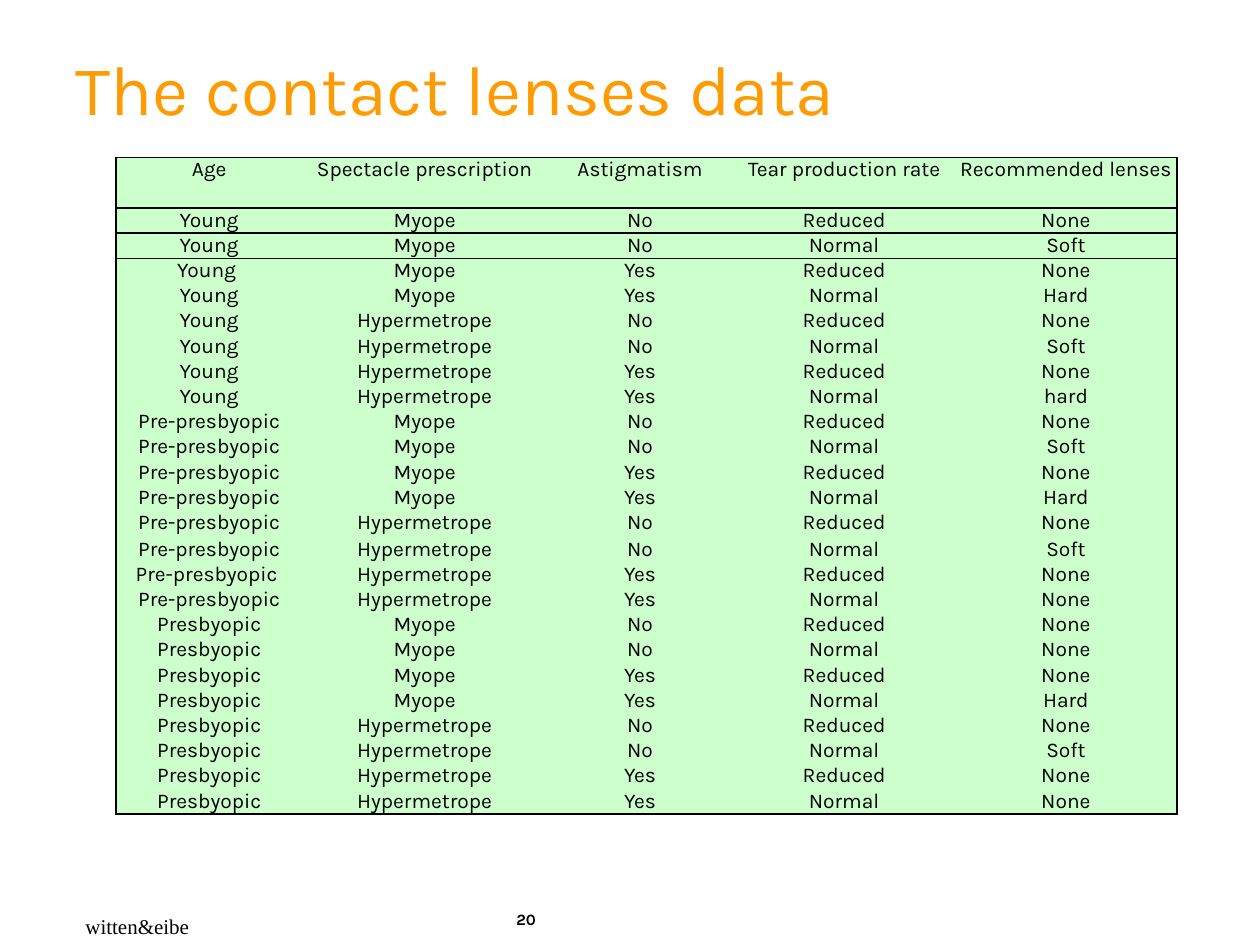
from itertools import product

from lxml.etree import SubElement
from pptx import Presentation
from pptx.dml.color import RGBColor
from pptx.enum.text import MSO_ANCHOR, MSO_AUTO_SIZE, PP_ALIGN
from pptx.oxml import parse_xml
from pptx.oxml.ns import nsdecls, qn
from pptx.util import Inches, Pt


def style(para, face, size, color, bold=False):
    para.font.name = face
    para.font.size = Pt(size)
    para.font.bold = bold
    para.font.color.rgb = RGBColor.from_string(color)


deck = Presentation()
deck.slide_width = Inches(10)
deck.slide_height = Inches(7.5)
page = deck.slides.add_slide(deck.slide_layouts[5])

title = page.shapes.title
title.left, title.top, title.width, title.height = map(Inches, (0.5, 0.25, 9.08, 1))
title.text_frame.text = "The contact lenses data"
title.text_frame.auto_size = MSO_AUTO_SIZE.NONE
title.text_frame.vertical_anchor = MSO_ANCHOR.MIDDLE
heading = title.text_frame.paragraphs[0]
heading.alignment = PP_ALIGN.LEFT
heading.line_spacing = 0.85
style(heading, "Karla", 40, "FE9B03")

ages = ["Young", "Pre-presbyopic", "Presbyopic"]
prescriptions = ["Myope", "Hypermetrope"]
astigmatism = ["No", "Yes"]
tear_rates = ["Reduced", "Normal"]
lenses = (
    "None Soft None Hard None Soft None hard "
    "None Soft None Hard None Soft None None "
    "None None None Hard None Soft None None"
).split()
records = [["Age", "Spectacle prescription", "Astigmatism", "Tear production rate", "Recommended lenses"]]
for patient, lens in zip(product(ages, prescriptions, astigmatism, tear_rates), lenses):
    records.append([*patient, lens])
for number in (3, 15):
    records[number][0] += " "

column_widths = [1.48, 1.94, 1.48, 1.76, 1.76]
row_heights = [0.4] + [0.2] * 24
row_heights[13] = 0.21
last_row, last_column = len(row_heights) - 1, len(column_widths) - 1
frame = page.shapes.add_table(
    len(row_heights), len(column_widths), Inches(0.92), Inches(1.25),
    Inches(sum(column_widths)), Inches(sum(row_heights)),
)
table = frame.table
table.first_row = table.horz_banding = False
table._tbl.tblPr.find(qn("a:tableStyleId")).text = "{2D5ABB26-0587-4C30-8999-92F81FD0307C}"
for column, width in zip(table.columns, column_widths):
    column.width = Inches(width)
for row, height in zip(table.rows, row_heights):
    row.height = Inches(height)

for r, record in enumerate(records):
    for c, value in enumerate(record):
        cell = table.cell(r, c)
        cell.text = value
        cell.margin_left = cell.margin_right = cell.margin_top = cell.margin_bottom = 0
        para = cell.text_frame.paragraphs[0]
        para.alignment = PP_ALIGN.CENTER
        style(para, "Karla", 12, "000000")
        edges = {"L": c == 0, "R": c == last_column, "T": r in (0, 1, 2), "B": r in (0, 1, last_row)}
        properties = cell._tc.get_or_add_tcPr()
        for side, drawn in edges.items():
            if drawn:
                line = parse_xml(f'<a:ln{side} {nsdecls("a")} w="{Pt(1)}"/>')
                SubElement(SubElement(line, qn("a:solidFill")), qn("a:srgbClr"), val="000000")
                properties.append(line)
        cell.fill.solid()
        cell.fill.fore_color.rgb = RGBColor.from_string("CCFFCC")

footers = [
    ("20", (4, 7.17, 1.02, 0.33), "Karla", 9, True),
    ("witten&eibe", (0.58, 7.2, 1.03, 0.3), "Times New Roman", 12, False),
]
for words, place, face, size, bold in footers:
    box = page.shapes.add_textbox(*map(Inches, place))
    box.text_frame.word_wrap = True
    box.text_frame.text = words
    style(box.text_frame.paragraphs[0], face, size, "000000", bold)

deck.save("out.pptx")
